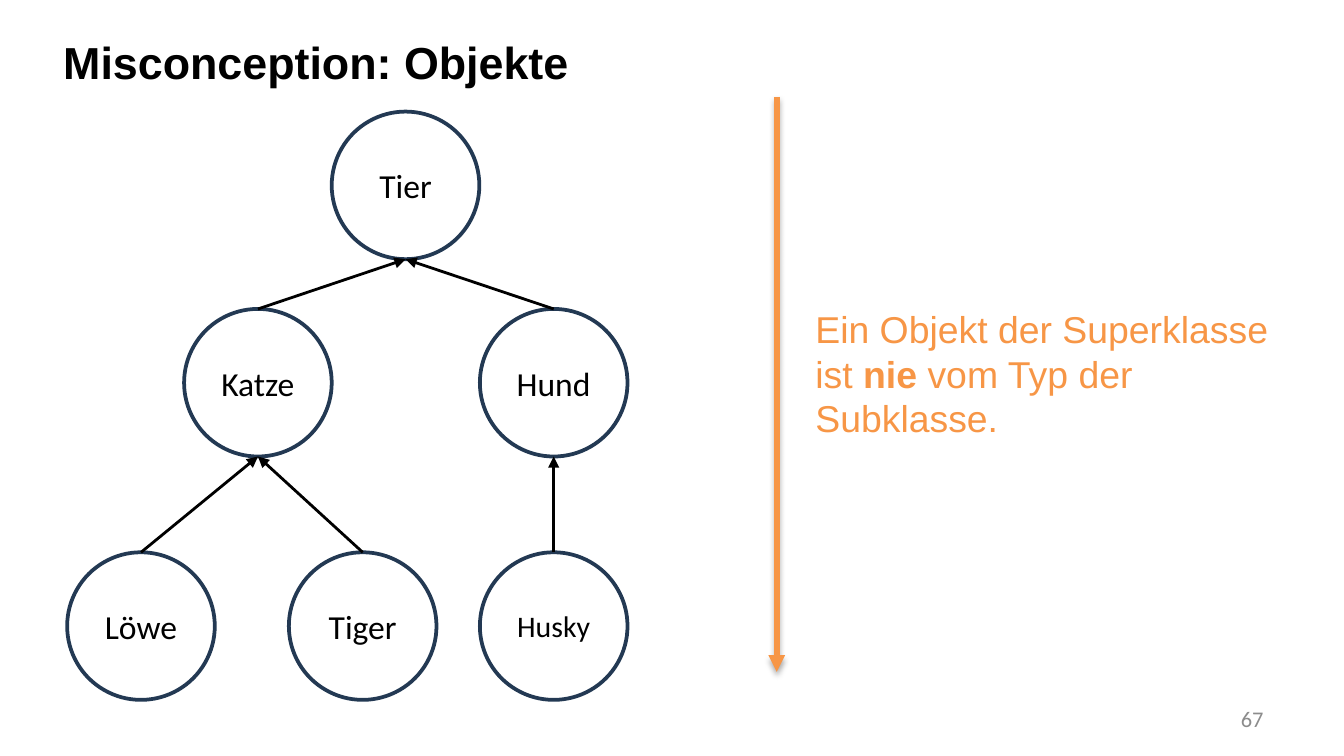
from lxml import etree
from pptx import Presentation
from pptx.dml.color import RGBColor
from pptx.enum import shapes, text
from pptx.oxml import ns
from pptx.util import Cm, Pt

COLORS = {"ink": "000000", "outline": "233953", "node": "FFFFFF",
          "accent": "F79646", "number": "8C8C8C"}
DIAMETER = 2.79

# class: (left, top, text size, superclass), relative to the tree box
CLASSES = {
    "Tier": (5, 0, 18, None),
    "Katze": (2.21, 3.73, 18, "Tier"),
    "Hund": (7.8, 3.73, 18, "Tier"),
    "Löwe": (0, 8.33, 18, "Katze"),
    "Tiger": (4.19, 8.33, 18, "Katze"),
    "Husky": (7.8, 8.33, 16, "Hund"),
}


def color(name):
    return RGBColor.from_string(COLORS[name])


def add_run(paragraph, words, size, font_name, color_name, bold=False):
    run = paragraph.add_run()
    run.text = words
    run.font.size = Pt(size)
    run.font.name = font_name
    run.font.bold = bold
    run.font.color.rgb = color(color_name)


def add_arrow(slide, start, end, color_name, width, shadow=False):
    arrow = slide.shapes.add_connector(
        shapes.MSO_CONNECTOR.STRAIGHT, *(Cm(v) for v in (*start, *end)))
    arrow.line.color.rgb = color(color_name)
    arrow.line.width = Pt(width)
    etree.SubElement(arrow.line._get_or_add_ln(), ns.qn("a:tailEnd"), type="triangle")
    effects = etree.SubElement(arrow._element.spPr, ns.qn("a:effectLst"))
    if shadow:
        outer = etree.SubElement(effects, ns.qn("a:outerShdw"), blurRad=str(Pt(3.1)),
                                 dist=str(Pt(1.8)), dir="5400000", rotWithShape="0")
        tint = etree.SubElement(outer, ns.qn("a:srgbClr"), val=COLORS["ink"])
        etree.SubElement(tint, ns.qn("a:alpha"), val="35000")
    return arrow


def add_title(slide, left, top, width, height):
    title = slide.shapes.title
    title.left, title.top, title.width, title.height = map(Cm, (left, top, width, height))
    frame = title.text_frame
    frame.word_wrap = False
    frame.auto_size = text.MSO_AUTO_SIZE.NONE
    frame.vertical_anchor = text.MSO_ANCHOR.TOP
    frame.paragraphs[0].alignment = text.PP_ALIGN.LEFT
    add_run(frame.paragraphs[0], "Misconception: Objekte", 24, "Arial", "ink", True)


def add_class_tree(slide, left, top):
    # Class circles
    nodes = {}
    for name, (x, y, size, _) in CLASSES.items():
        node = slide.shapes.add_shape(
            shapes.MSO_SHAPE.OVAL, Cm(left + x), Cm(top + y), Cm(DIAMETER), Cm(DIAMETER))
        node.shadow.inherit = False
        node.fill.solid()
        node.fill.fore_color.rgb = color("node")
        node.line.color.rgb = color("outline")
        node.line.width = Pt(2)
        frame = node.text_frame
        frame.vertical_anchor = text.MSO_ANCHOR.MIDDLE
        frame.paragraphs[0].alignment = text.PP_ALIGN.CENTER
        add_run(frame.paragraphs[0], name, size, "Calibri", "ink")
        nodes[name] = node

    # Inheritance arrows, from the top of a subclass to the bottom of its superclass
    radius = DIAMETER / 2
    for name, (x, y, _, superclass) in CLASSES.items():
        if superclass:
            super_x, super_y = CLASSES[superclass][:2]
            arrow = add_arrow(slide, (left + x + radius, top + y),
                              (left + super_x + radius, top + super_y + DIAMETER), "ink", 1.5)
            arrow.begin_connect(nodes[name], 0)


def add_statement(slide, left, top, width, height):
    statement = slide.shapes.add_textbox(*map(Cm, (left, top, width, height)))
    statement.text_frame.word_wrap = True
    paragraph = statement.text_frame.paragraphs[0]
    for words, bold in (("Ein Objekt der Superklasse ist ", False), ("nie ", True),
                        ("vom Typ der Subklasse.", False)):
        add_run(paragraph, words, 20, "Arial", "accent", bold)


def add_page_number(slide, left, top, width, height):
    number = slide.shapes.add_textbox(*map(Cm, (left, top, width, height)))
    frame = number.text_frame
    frame.word_wrap = True
    frame.vertical_anchor = text.MSO_ANCHOR.MIDDLE
    paragraph = frame.paragraphs[0]
    paragraph.alignment = text.PP_ALIGN.RIGHT
    paragraph.line_spacing = 0.9
    paragraph.space_after = Pt(6)
    add_run(paragraph, "67", 12, "Calibri", "number")


def main():
    deck = Presentation()
    deck.slide_width, deck.slide_height = Cm(25.4), Cm(14.29)
    slide = deck.slides.add_slide(deck.slide_layouts[5])

    add_title(slide, 0.94, 0.53, 10.16, 1.27)
    add_class_tree(slide, 1.27, 2.11)
    add_arrow(slide, (14.68, 1.83), (14.68, 12.7), "accent", 3, shadow=True)
    add_statement(slide, 15.16, 5.66, 9.37, 2.82)
    add_page_number(slide, 18.21, 13.23, 5.92, 0.76)

    deck.save("out.pptx")


if __name__ == "__main__":
    main()
